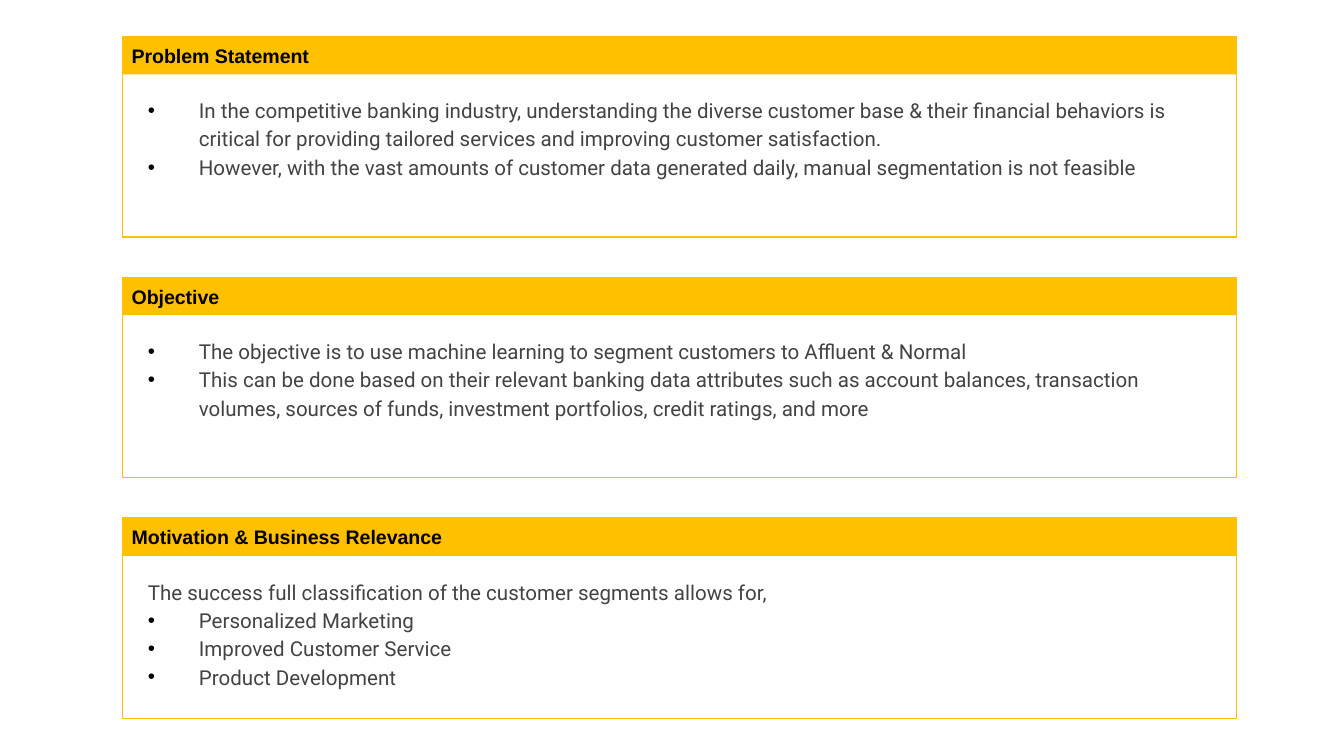
from lxml.etree import SubElement
from pptx import Presentation
from pptx.dml.color import RGBColor
from pptx.enum.shapes import MSO_SHAPE
from pptx.enum.text import MSO_ANCHOR, PP_ALIGN
from pptx.oxml.ns import qn
from pptx.util import Inches, Pt

GOLD = RGBColor(0xFF, 0xC0, 0x00)
BLACK = RGBColor(0, 0, 0)
GRAY = RGBColor(0x43, 0x43, 0x43)

HEAD = {"name": "Arial", "size": Pt(10.5), "bold": True}
BODY = {"name": "Roboto", "size": Pt(11), "bold": False}
PAD = Inches(0.07)
FRAME = {
    "word_wrap": True,
    "margin_left": PAD,
    "margin_right": PAD,
    "margin_top": PAD,
    "margin_bottom": PAD,
}

PANELS = [
    ("Problem Statement", "", [
        "In the competitive banking industry, understanding the diverse customer base & their financial behaviors is critical for providing tailored services and improving customer satisfaction.",
        "However, with the vast amounts of customer data generated daily, manual segmentation is not feasible",
    ]),
    ("Objective", "", [
        "The objective is to use machine learning to segment customers to Affluent & Normal",
        "This can be done based on their relevant banking data attributes such as account balances, transaction volumes, sources of funds, investment portfolios, credit ratings, and more",
    ]),
    ("Motivation & Business Relevance", "The success full classification of the customer segments allows for,", [
        "Personalized Marketing",
        "Improved Customer Service",
        "Product Development",
    ]),
]


def style(item, values):
    for key, value in values.items():
        setattr(item, key, value)


def write(para, text, font, color):
    run = para.add_run()
    run.text = text
    style(run.font, font)
    run.font.color.rgb = color


deck = Presentation()
deck.slide_width = Inches(10)
deck.slide_height = deck.slide_width * 9 // 16
slide = deck.slides.add_slide(deck.slide_layouts[6])
col = deck.slide_width / 100
row = deck.slide_height / 100

left, width = int(9.1 * col), int(82.9 * col)
for index, (title, intro, points) in enumerate(PANELS):
    top = int((4.85 + 31.85 * index) * row)

    group = slide.shapes.add_group_shape()
    band = group.shapes.add_shape(MSO_SHAPE.RECTANGLE, left, top, width, int(5 * row))
    band.shadow.inherit = False
    band.fill.solid()
    band.fill.fore_color.rgb = GOLD
    band.line.fill.background()
    style(band.text_frame, FRAME)
    band.text_frame.vertical_anchor = MSO_ANCHOR.MIDDLE
    para = band.text_frame.paragraphs[0]
    para.alignment = PP_ALIGN.LEFT
    write(para, title, HEAD, BLACK)

    border = group.shapes.add_shape(MSO_SHAPE.RECTANGLE, left, top, width, int(26.5 * row))
    border.shadow.inherit = False
    border.fill.background()
    border.line.color.rgb = GOLD
    border.line.width = Pt(0.75)

    lines = [(intro, False)] if intro else []
    lines += [(point, True) for point in points]
    tall = 18.85 if intro else 12.65
    box = slide.shapes.add_textbox(left, top + int(6.4 * row), int(79 * col), int(tall * row))
    style(box.text_frame, FRAME)
    for order, (text, bullet) in enumerate(lines):
        para = box.text_frame.add_paragraph() if order else box.text_frame.paragraphs[0]
        para.line_spacing = 1.15
        write(para, text, BODY, GRAY)
        props = para._p.get_or_add_pPr()
        props.set("marL", str(Inches(0.5 if bullet else 0.12)))
        props.set("indent", str(Inches(-0.38 if bullet else 0)))
        if bullet:
            tint = SubElement(props, qn("a:buClr"))
            SubElement(tint, qn("a:srgbClr"), val=str(BLACK))
            SubElement(props, qn("a:buFont"), typeface="Arial")
            SubElement(props, qn("a:buChar"), char="•")

deck.save("out.pptx")
